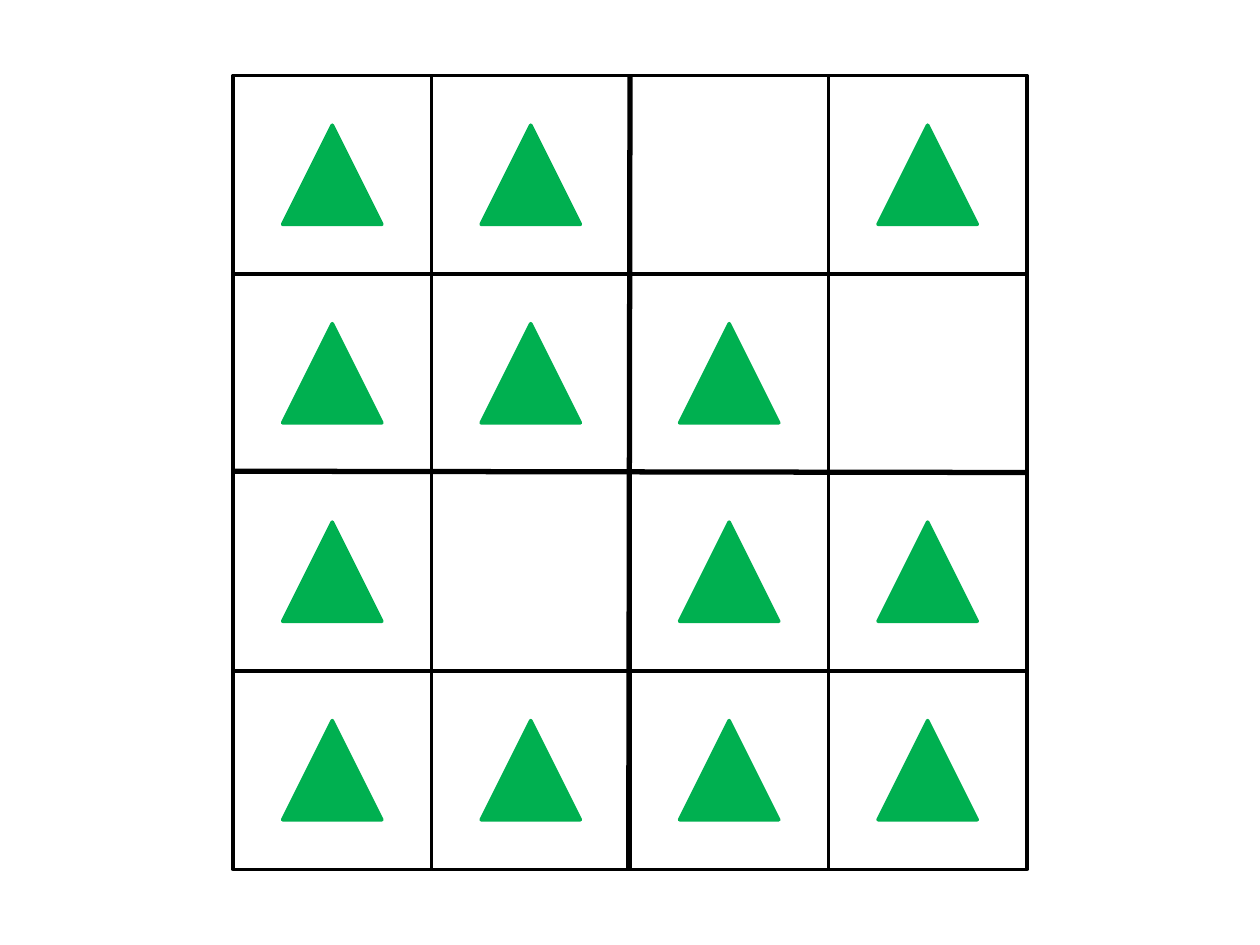
import pptx
import pptx.util
import pptx.dml.color
import pptx.enum.shapes
import pptx.oxml.ns
import lxml.etree

BLACK = "000000"
GREEN = "00B050"
PATTERN = ("11.1", "111.", "1.11", "1111")
SHAPES = pptx.enum.shapes.MSO_SHAPE
inches = pptx.util.Inches


def color(hex_string):
    return pptx.dml.color.RGBColor.from_string(hex_string)


def add_outlined(slide, kind, left, top, size, line, fill=None):
    shape = slide.shapes.add_shape(
        kind, inches(left), inches(top), inches(size), inches(size))
    shape.shadow.inherit = False
    shape.line.color.rgb = color(line)
    shape.line.width = pptx.util.Pt(2)
    if fill:
        shape.fill.solid()
        shape.fill.fore_color.rgb = color(fill)
    else:
        shape.fill.background()


def add_divider(slide, start, end):
    connector = slide.shapes.add_connector(
        pptx.enum.shapes.MSO_CONNECTOR.STRAIGHT,
        *(inches(value) for value in start + end))
    connector.line.color.rgb = color(BLACK)
    connector.line.width = pptx.util.Pt(3)
    properties = connector._element.spPr
    lxml.etree.SubElement(properties, pptx.oxml.ns.qn("a:effectLst"))


def add_board(slide, left, top, size):
    cell = size / len(PATTERN)
    corners = [
        (left + column * cell, top + row * cell, mark)
        for row, marks in enumerate(PATTERN)
        for column, mark in enumerate(marks)
    ]
    for x, y, _ in corners:
        add_outlined(slide, SHAPES.RECTANGLE, x, y, cell, BLACK)

    middle_x, middle_y = left + size / 2, top + size / 2
    add_divider(slide, (middle_x, top), (middle_x - 0.01, top + size))
    add_divider(slide, (left + size, middle_y), (left, middle_y - 0.01))

    for x, y, mark in corners:
        if mark == "1":
            add_outlined(slide, SHAPES.ISOSCELES_TRIANGLE,
                         x + cell / 4, y + cell / 4, cell / 2, GREEN, GREEN)


presentation = pptx.Presentation()
presentation.slide_width = inches(10)
presentation.slide_height = inches(7.5)
slide = presentation.slides.add_slide(presentation.slide_layouts[6])
add_board(slide, 1.85, 0.6, 6.3)
presentation.save("out.pptx")
